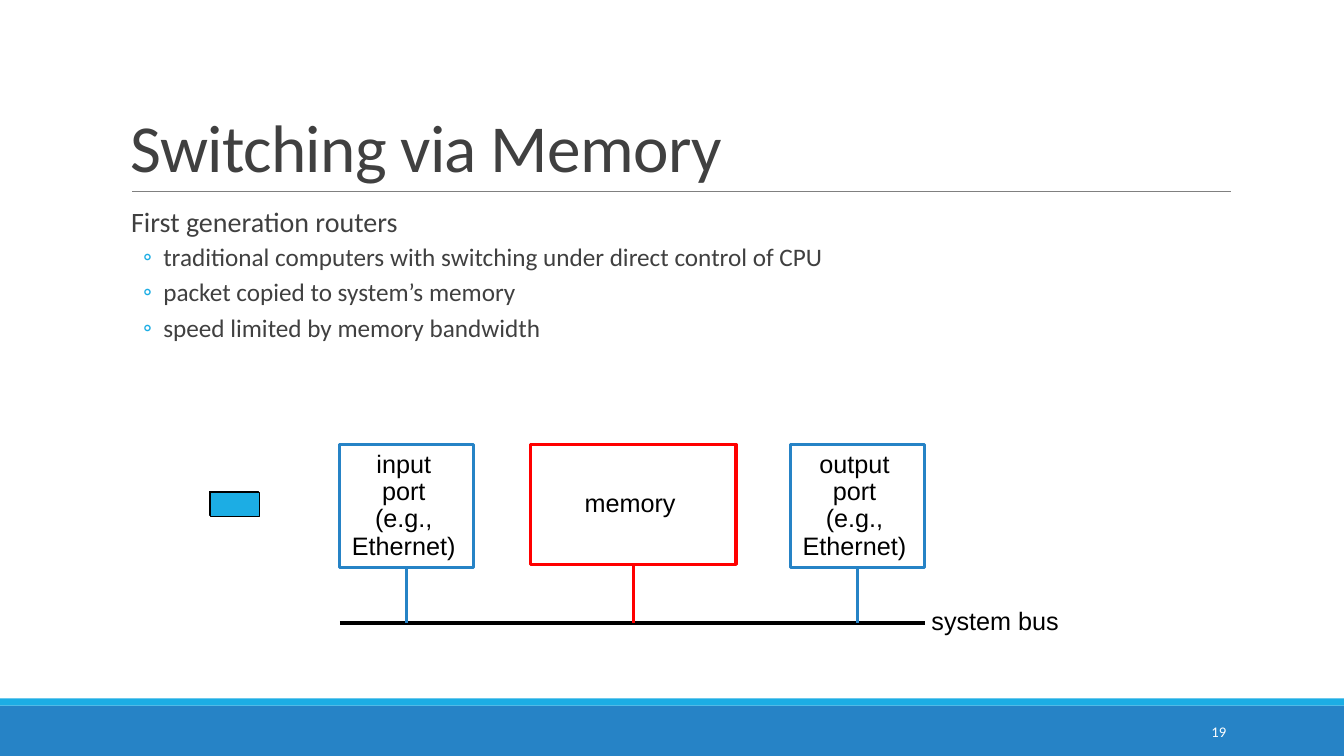
from lxml.etree import SubElement
from pptx import Presentation
from pptx.dml.color import RGBColor
from pptx.enum.shapes import MSO_CONNECTOR, MSO_SHAPE
from pptx.enum.text import MSO_ANCHOR, PP_ALIGN
from pptx.oxml.ns import qn
from pptx.util import Inches, Pt

BLUE, CYAN, RED = "2683C6", "1CADE4", "FF0000"
BLACK, GREY, WHITE = "000000", "404040", "FFFFFF"
BOX_TOP, BUS_Y = 4.41, 6.18
PORT_TEXT = "{}\nport\n(e.g.,\nEthernet)"


def color(value):
    return RGBColor.from_string(value)


def style_text(frame, font, size, fill, align=PP_ALIGN.LEFT, line_spacing=None):
    for paragraph in frame.paragraphs:
        paragraph.alignment = align
        paragraph.line_spacing = line_spacing
        for span in paragraph.runs:
            span.font.name = font
            span.font.size = Pt(size)
            span.font.color.rgb = color(fill)


def add_text(page, area, text, font, size, fill, anchor=MSO_ANCHOR.TOP, **style):
    box = page.shapes.add_textbox(*map(Inches, area))
    frame = box.text_frame
    frame.word_wrap = True
    frame.vertical_anchor = anchor
    frame.text = text
    style_text(frame, font, size, fill, **style)
    return frame


def add_box(page, area, fill=None, line=None, width=2.25):
    box = page.shapes.add_shape(MSO_SHAPE.RECTANGLE, *map(Inches, area))
    box.shadow.inherit = False
    if fill:
        box.fill.solid()
        box.fill.fore_color.rgb = color(fill)
    else:
        box.fill.background()
    if line:
        box.line.color.rgb = color(line)
        box.line.width = Pt(width)
    else:
        box.line.fill.background()
    return box


def add_line(page, start, end, line, width=2.25):
    connector = page.shapes.add_connector(
        MSO_CONNECTOR.STRAIGHT, *map(Inches, (*start, *end)))
    connector.line.color.rgb = color(line)
    connector.line.width = Pt(width)
    SubElement(connector._element.spPr, qn("a:effectLst"))
    return connector


def add_unit(page, left, width, height, text, line):
    """Add a labelled box and the stub that joins it to the system bus."""
    box = add_box(page, (left, BOX_TOP, width, height), line=line)
    frame = box.text_frame
    frame.margin_left, frame.margin_right = Inches(0.05), Inches(0.11)
    frame.vertical_anchor = MSO_ANCHOR.MIDDLE
    frame.text = text
    style_text(frame, "Arial", 18, BLACK, PP_ALIGN.CENTER, 0.9)
    middle = left + width / 2
    stub = add_line(page, (middle, BOX_TOP + height), (middle, BUS_Y), line)
    stub.begin_connect(box, 2)


def add_bullet(paragraph):
    properties = paragraph._p.get_or_add_pPr()
    properties.set("marL", str(Inches(0.42)))
    properties.set("indent", str(Inches(-0.2)))
    tint = SubElement(properties, qn("a:buClr"))
    SubElement(tint, qn("a:srgbClr")).set("val", CYAN)
    SubElement(properties, qn("a:buFont")).set("typeface", "Calibri")
    SubElement(properties, qn("a:buChar")).set("char", "◦")


def add_title(page, text):
    frame = add_text(page, (1.2, 0.31, 11, 1.59), text, "Calibri", 48, GREY,
                     MSO_ANCHOR.BOTTOM, line_spacing=0.85)
    frame.paragraphs[0].runs[0].font._element.set("spc", "-50")


def add_body(page, heading, points):
    frame = add_text(page, (1.2, 2.02, 11, 4.4 / 2), "\n".join([heading, *points]),
                     "Calibri", 18, GREY, line_spacing=0.9)
    frame.margin_left = frame.margin_right = 0
    first, *rest = frame.paragraphs
    first._p.get_or_add_pPr().set("marL", str(Inches(0.1)))
    first.runs[0].font.size = Pt(20)
    first.space_after = Pt(2)
    for paragraph in rest:
        paragraph.space_before, paragraph.space_after = Pt(2), Pt(4)
        add_bullet(paragraph)


def add_footer(page, number):
    add_box(page, (0, 7, 13.33, 0.5), BLUE)
    add_box(page, (0, 6.93, 13.33, 0.07), CYAN)
    add_text(page, (10.83, 7.06, 1.43, 0.4), number, "Calibri", 10.5, WHITE,
             MSO_ANCHOR.MIDDLE, align=PP_ALIGN.RIGHT)


def add_diagram(page):
    add_line(page, (3.37, BUS_Y), (9.17, BUS_Y), BLACK)
    add_unit(page, 3.37, 1.33, 1.22, PORT_TEXT.format("input"), BLUE)
    add_unit(page, 5.26, 2.04, 1.19, "memory", RED)
    add_unit(page, 7.84, 1.33, 1.22, PORT_TEXT.format("output"), BLUE)
    add_text(page, (9.14, 5.96, 1.47, 0.4), "system bus", "Arial", 18, BLACK)
    for left, top in ((2.08, 4.88), (2.09, 4.89)):
        add_box(page, (left, top, 0.48, 0.23), CYAN, BLACK, 0.75)


def main():
    deck = Presentation()
    deck.slide_width, deck.slide_height = Inches(13.33), Inches(7.5)
    page = deck.slides.add_slide(deck.slide_layouts[6])
    add_footer(page, "19")
    add_line(page, (1.31, 1.9), (12.21, 1.9), "808080", 0.5)
    add_title(page, "Switching via Memory")
    add_body(page, "First generation routers", [
        "traditional computers with switching under direct control of CPU",
        "packet copied to system’s memory",
        "speed limited by memory bandwidth",
    ])
    add_diagram(page)
    deck.save("out.pptx")


if __name__ == "__main__":
    main()
